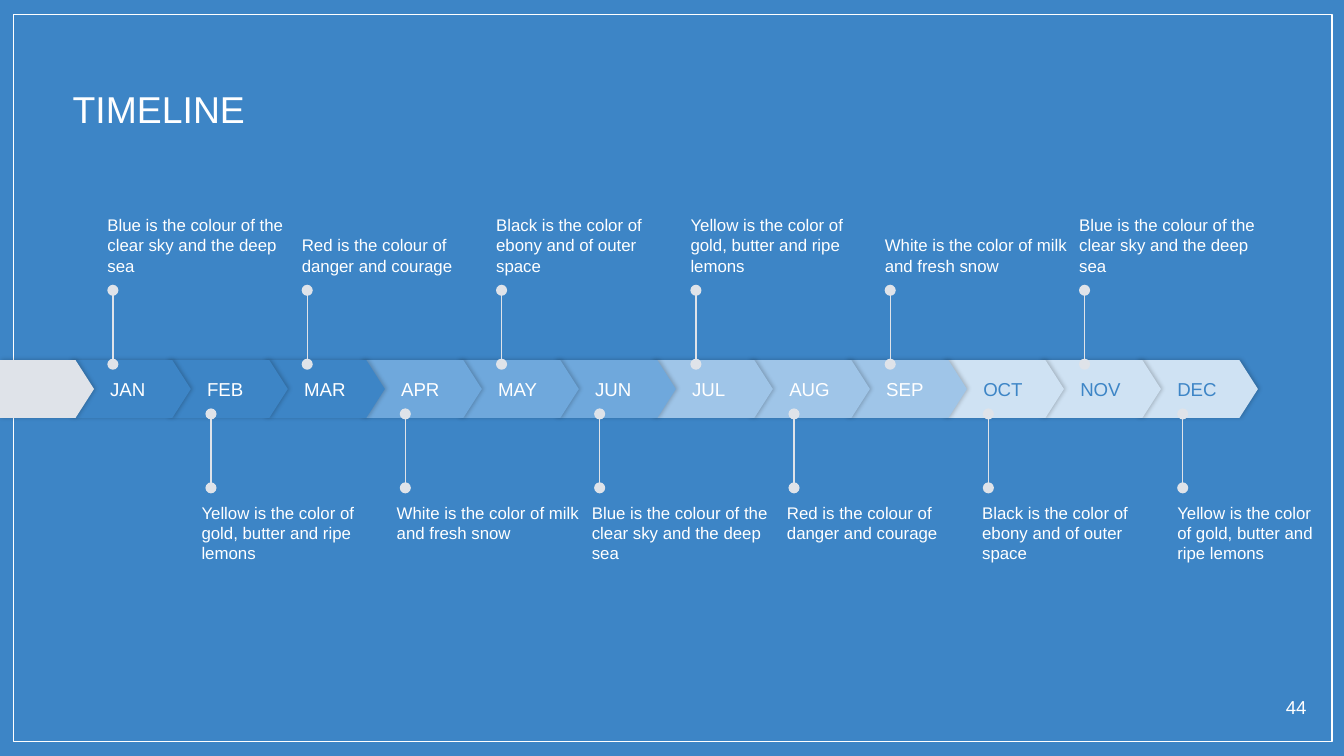
from lxml import etree
from pptx import Presentation
from pptx.dml.color import RGBColor
from pptx.enum.shapes import MSO_CONNECTOR, MSO_SHAPE
from pptx.enum.text import MSO_ANCHOR, MSO_AUTO_SIZE, PP_ALIGN
from pptx.oxml.ns import qn
from pptx.util import Inches, Pt

PENTAGON, RECTANGLE = MSO_SHAPE.PENTAGON, MSO_SHAPE.RECTANGLE
STRAIGHT = MSO_CONNECTOR.STRAIGHT
TOP, MIDDLE, BOTTOM = MSO_ANCHOR.TOP, MSO_ANCHOR.MIDDLE, MSO_ANCHOR.BOTTOM
LEFT, RIGHT = PP_ALIGN.LEFT, PP_ALIGN.RIGHT
NO_FIT = MSO_AUTO_SIZE.NONE

BLUE = RGBColor(0x3D, 0x85, 0xC6)
MID_BLUE = RGBColor(0x6F, 0xA8, 0xDC)
LIGHT_BLUE = RGBColor(0x9F, 0xC5, 0xE8)
PALE_BLUE = RGBColor(0xCF, 0xE2, 0xF3)
GREY = RGBColor(0xDF, 0xE3, 0xE9)
WHITE = RGBColor(0xFF, 0xFF, 0xFF)

# Grid, in inches; the slide is 16:9
SLIDE_WIDTH = 10
SLIDE_HEIGHT = SLIDE_WIDTH * 9 / 16
BAND_TOP, BAND_HEIGHT = 2.68, 0.43
MONTH_WIDTH = 0.9
NOTE_WIDTH, NOTE_HEIGHT = 1.37, 0.58
NOTE_RIGHT_LIMIT = 9.89
STEM_LENGTH = 0.55

MONTHS = ["JAN", "FEB", "MAR", "APR", "MAY", "JUN",
          "JUL", "AUG", "SEP", "OCT", "NOV", "DEC"]
# Fill and text colour of each quarter
QUARTERS = [(BLUE, WHITE), (MID_BLUE, WHITE), (LIGHT_BLUE, WHITE), (PALE_BLUE, BLUE)]

BLUE_NOTE = "Blue is the colour of the clear sky and the deep sea"
RED_NOTE = "Red is the colour of danger and courage"
BLACK_NOTE = "Black is the color of ebony and of outer space"
YELLOW_NOTE = "Yellow is the color of gold, butter and ripe lemons"
WHITE_NOTE = "White is the color of milk and fresh snow"

# Each row: first and last position of stems and notes, tops, and the notes
CALLOUT_ROWS = [
    {"stems": (0.84, 8.07), "notes": (0.8, 8.03), "stem_top": 2.16,
     "note_top": 1.47, "anchor": BOTTOM,
     "texts": [BLUE_NOTE, RED_NOTE, BLACK_NOTE, YELLOW_NOTE, WHITE_NOTE, BLUE_NOTE]},
    {"stems": (1.57, 8.8), "notes": (1.5, 8.76), "stem_top": 3.08,
     "note_top": 3.74, "anchor": TOP,
     "texts": [YELLOW_NOTE, WHITE_NOTE, BLUE_NOTE, RED_NOTE, BLACK_NOTE, YELLOW_NOTE]},
]


def spread(first, last, count):
    """Evenly spaced positions from first to last."""
    return [first + (last - first) * i / (count - 1) for i in range(count)]


def box(*lengths):
    return [Inches(length) for length in lengths]


def set_attributes(target, values):
    for name, value in values.items():
        setattr(target, name, value)


def write(shape, text, size, color, anchor=TOP, align=LEFT, insets=(0, 0, 0, 0)):
    frame = shape.text_frame
    left, top, right, bottom = box(*insets)
    set_attributes(frame, {
        "word_wrap": True, "auto_size": NO_FIT, "vertical_anchor": anchor,
        "margin_left": left, "margin_top": top,
        "margin_right": right, "margin_bottom": bottom,
    })
    paragraph = frame.paragraphs[0]
    paragraph.alignment = align
    run = paragraph.add_run()
    run.text = text
    set_attributes(run.font, {"name": "Arial", "size": Pt(size)})
    run.font.color.rgb = color


def add_text(slide, bounds, text, size, **layout):
    write(slide.shapes.add_textbox(*box(*bounds)), text, size, WHITE, **layout)


def add_border(slide):
    border = slide.shapes.add_shape(RECTANGLE, *box(0.1, 0.11, 9.81, 5.41))
    border.shadow.inherit = False
    border.fill.background()
    border.line.color.rgb = WHITE
    border.line.width = Pt(0.75)


def add_title(slide, text):
    title = slide.shapes.title
    left, top, width, height = box(0.44, 0.54, 9, 0.45)
    set_attributes(title, {"left": left, "top": top, "width": width, "height": height})
    write(title, text, 20, WHITE, insets=(0.1,) * 4)


def add_soft_shadow(shape):
    shape.shadow.inherit = False
    effects = shape._element.spPr.find(qn("a:effectLst"))
    shadow = etree.SubElement(effects, qn("a:outerShdw"), blurRad=str(Pt(2.2)),
                              dist=str(Pt(0.8)), dir="0", algn="ctr", rotWithShape="0")
    color = etree.SubElement(shadow, qn("a:srgbClr"), val="000000")
    etree.SubElement(color, qn("a:alpha"), val="20000")


def add_band_piece(slide, left, width, fill):
    piece = slide.shapes.add_shape(PENTAGON, *box(left, BAND_TOP, width, BAND_HEIGHT))
    piece.adjustments[0] = 0.32
    piece.fill.solid()
    piece.fill.fore_color.rgb = fill
    piece.line.fill.background()
    add_soft_shadow(piece)
    return piece


def add_band(slide):
    lefts = spread(0.52, 8.46, len(MONTHS))
    # Later months lie beneath earlier ones
    for index in reversed(range(len(MONTHS))):
        fill, color = QUARTERS[index // 3]
        piece = add_band_piece(slide, lefts[index], MONTH_WIDTH, fill)
        write(piece, MONTHS[index], 10, color, MIDDLE, insets=(0.3, 0, 0, 0))
    add_band_piece(slide, 0, 0.7, GREY)


def add_stem(slide, x, top):
    stem = slide.shapes.add_connector(STRAIGHT, *box(x, top + STEM_LENGTH, x, top))
    stem.line.color.rgb = GREY
    stem.line.width = Pt(0.75)
    line = stem.line._get_or_add_ln()
    for end in ("a:headEnd", "a:tailEnd"):
        etree.SubElement(line, qn(end), type="oval", w="med", len="med")
    etree.SubElement(stem._element.spPr, qn("a:effectLst"))


def add_callouts(slide, row):
    count = len(row["texts"])
    stems, notes = spread(*row["stems"], count), spread(*row["notes"], count)
    for stem_x, note_x, text in zip(stems, notes, row["texts"]):
        add_stem(slide, stem_x, row["stem_top"])
        width = min(NOTE_WIDTH, NOTE_RIGHT_LIMIT - note_x)
        add_text(slide, (note_x, row["note_top"], width, NOTE_HEIGHT), text, 9,
                 anchor=row["anchor"])


def main():
    deck = Presentation()
    deck.slide_width, deck.slide_height = box(SLIDE_WIDTH, SLIDE_HEIGHT)
    slide = deck.slides.add_slide(deck.slide_layouts[5])
    slide.background.fill.solid()
    slide.background.fill.fore_color.rgb = BLUE

    # Frame, title and page number
    add_border(slide)
    add_title(slide, "TIMELINE")
    add_text(slide, (9.32, 5.08, 0.5, 0.32), "44", 10, align=RIGHT, insets=(0.1,) * 4)

    # Timeline
    add_band(slide)
    for row in CALLOUT_ROWS:
        add_callouts(slide, row)

    deck.save("out.pptx")


if __name__ == "__main__":
    main()
